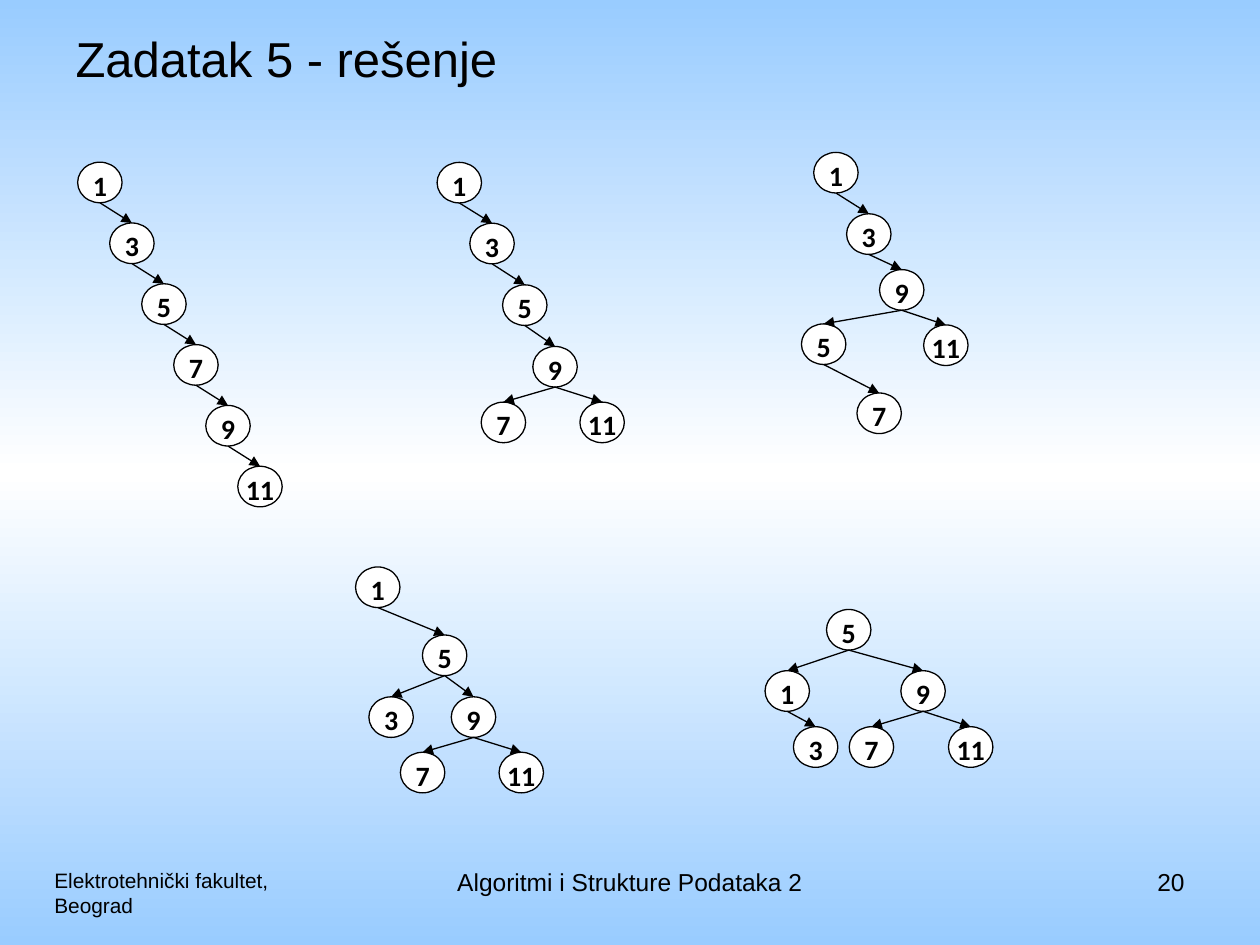
import copy

import pptx
import pptx.dml.color
import pptx.enum.shapes
import pptx.enum.text
import pptx.oxml
import pptx.oxml.ns
import pptx.util

Pt = pptx.util.Pt
qn = pptx.oxml.ns.qn
ALIGN = pptx.enum.text.PP_ALIGN
ANCHOR = pptx.enum.text.MSO_ANCHOR
SHAPE = pptx.enum.shapes.MSO_SHAPE
STRAIGHT = pptx.enum.shapes.MSO_CONNECTOR.STRAIGHT

BLACK, WHITE, SKY = "000000", "FFFFFF", "99CCFF"
NODE_W, NODE_H = 25.4, 23.2


def rgb(hex_color):
    return pptx.dml.color.RGBColor.from_string(hex_color)


def add_run(p, text, size, font="Arial", bold=False):
    r = p.add_run()
    r.text = text
    r.font.size = Pt(size)
    r.font.name = font
    r.font.bold = bold
    r.font.color.rgb = rgb(BLACK)


def paint_background(s):
    fill = s.background.fill
    fill.gradient()
    fill.gradient_angle = 90
    stops = s._element.find(".//" + qn("a:gsLst"))
    stops.append(copy.deepcopy(stops[0]))
    for stop, position, color in zip(fill.gradient_stops, (0, 0.5, 1), (SKY, WHITE, SKY)):
        stop.position = position
        stop.color.rgb = rgb(color)


def add_title(s, box, text):
    title = s.shapes.title
    title.left, title.top, title.width, title.height = map(Pt, box)
    tf = title.text_frame
    tf.vertical_anchor = ANCHOR.MIDDLE
    p = tf.paragraphs[0]
    p.alignment = ALIGN.LEFT
    add_run(p, text, 28)


def add_footer(s, box, lines, size, align):
    tf = s.shapes.add_textbox(*map(Pt, box)).text_frame
    tf.word_wrap = True
    for i, line in enumerate(lines):
        p = tf.add_paragraph() if i else tf.paragraphs[0]
        p.alignment = align
        add_run(p, line, size)


def add_node(group, x, y, key):
    sp = group.shapes.add_shape(SHAPE.OVAL, Pt(x), Pt(y), Pt(NODE_W), Pt(NODE_H))
    sp.shadow.inherit = False
    sp.fill.solid()
    sp.fill.fore_color.rgb = rgb(WHITE)
    sp.line.color.rgb = rgb(BLACK)
    sp.line.width = Pt(0.75)
    tf = sp.text_frame
    tf.margin_left = tf.margin_top = tf.margin_right = tf.margin_bottom = 0
    tf.vertical_anchor = ANCHOR.TOP
    p = tf.paragraphs[0]
    p.alignment = ALIGN.CENTER
    p.space_after = Pt(10)
    add_run(p, str(key), 16, "Calibri", True)
    return sp


def add_edge(group, parent, child):
    line = group.shapes.add_connector(
        STRAIGHT,
        parent.left + parent.width // 2, parent.top + parent.height,
        child.left + child.width // 2, child.top)
    line.line.color.rgb = rgb(BLACK)
    line.line.width = Pt(0.75)
    sp_pr = line._element.spPr
    pptx.oxml.ns  # namespaces used below through qn
    tail = sp_pr.find(qn("a:ln")).makeelement(qn("a:tailEnd"), {"type": "triangle"})
    sp_pr.find(qn("a:ln")).append(tail)
    sp_pr.append(sp_pr.makeelement(qn("a:effectLst"), {}))


def add_tree(s, left, top, nodes, edges):
    """Draw one search tree; nodes maps each key to its offset from (left, top)."""
    group = s.shapes.add_group_shape()
    ovals = {key: add_node(group, left + x, top + y, key) for key, (x, y) in nodes.items()}
    for parent, child in edges:
        add_edge(group, ovals[parent], ovals[child])


# Each tree: left, top, node offsets, parent-child edges
CHAIN = (1, 3, 5, 7, 9, 11)
TREES = [
    (44.4, 92.7,
     {key: (18.3 * i, 34.75 * i) for i, key in enumerate(CHAIN)},
     list(zip(CHAIN, CHAIN[1:]))),
    (249.8, 92.8,
     {1: (0, 0), 3: (18.7, 34.8), 5: (37.4, 70), 9: (54.7, 105.2),
      7: (25.2, 137), 11: (81.6, 137)},
     [(1, 3), (3, 5), (5, 9), (9, 7), (9, 11)]),
    (458, 87.1,
     {1: (7, 0), 3: (25.8, 35.1), 9: (44.6, 67), 5: (0, 98),
      11: (69.8, 98.6), 7: (31.7, 137.5)},
     [(1, 3), (3, 9), (9, 5), (9, 11), (5, 7)]),
    (203.2, 324,
     {1: (0, 0), 5: (38.2, 38.9), 3: (7.6, 74.2), 9: (54.7, 74.2),
      7: (25.6, 105.9), 11: (82, 105.9)},
     [(1, 5), (5, 3), (5, 9), (9, 7), (9, 11)]),
    (437.2, 348.3,
     {5: (35.1, 0), 1: (0, 35), 9: (77.6, 35), 3: (16.2, 67),
      7: (48.1, 67), 11: (104.8, 67)},
     [(5, 1), (5, 9), (1, 3), (9, 7), (9, 11)]),
]


def main():
    prs = pptx.Presentation()
    prs.slide_width, prs.slide_height = Pt(720), Pt(540)
    s = prs.slides.add_slide(prs.slide_layouts[5])
    paint_background(s)
    # Footer row
    add_footer(s, (24, 492, 216, 37.5), ["Elektrotehnički fakultet,", "Beograd"], 11.9, ALIGN.LEFT)
    add_footer(s, (246, 492, 228, 37.5), ["Algoritmi i Strukture Podataka 2"], 14, ALIGN.CENTER)
    add_footer(s, (516, 492, 168, 37.5), ["20"], 14, ALIGN.RIGHT)
    # Title and the rotation steps
    add_title(s, (36, 12, 648, 42), "Zadatak 5 - rešenje")
    for tree in TREES:
        add_tree(s, *tree)
    prs.save("out.pptx")


if __name__ == "__main__":
    main()
